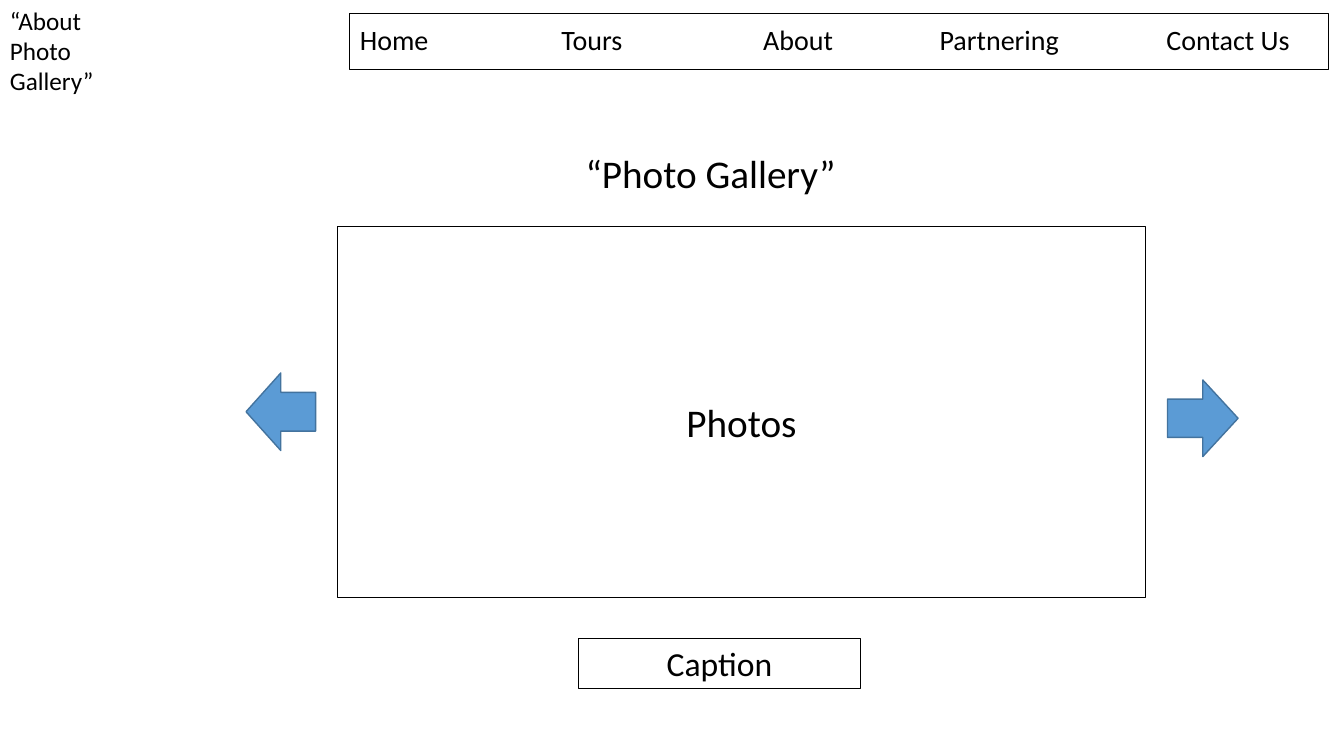
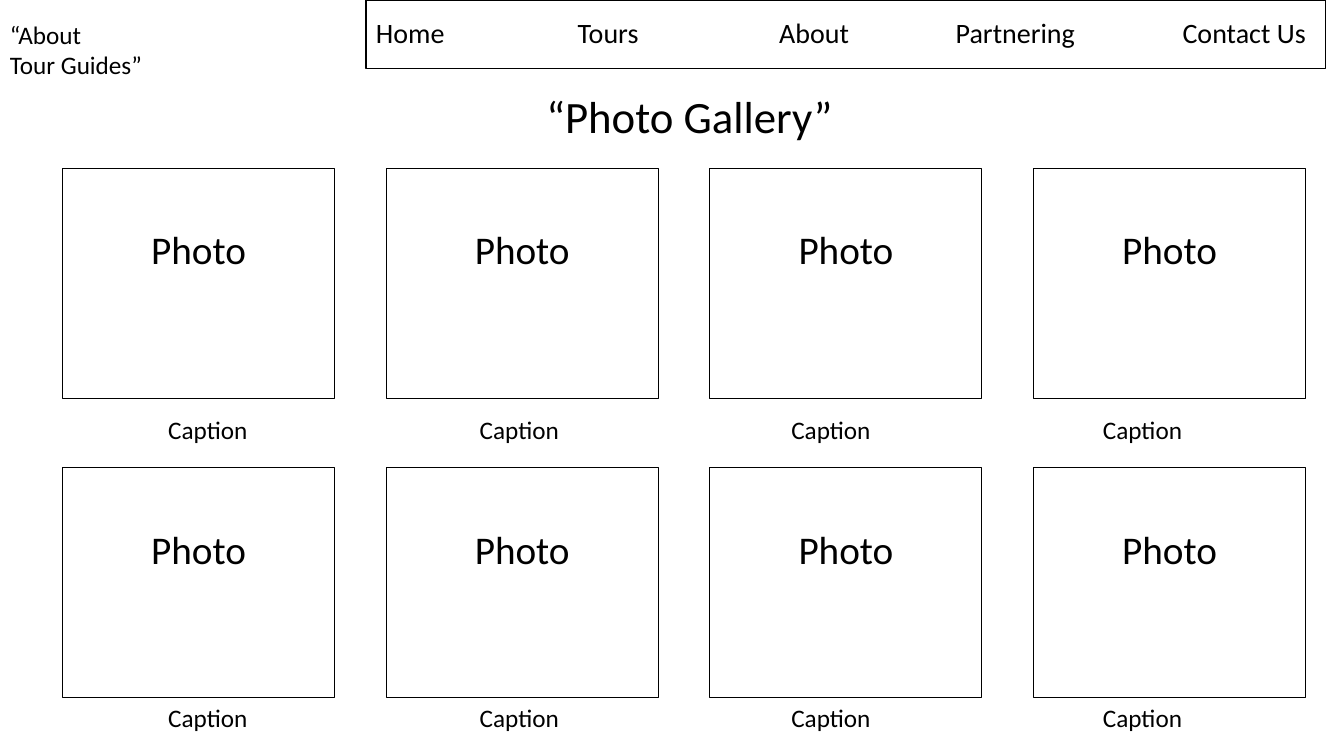
"""Build two wireframe slides of a photo gallery website."""
from lxml import etree
from pptx import Presentation
from pptx.dml.color import RGBColor
from pptx.enum.shapes import MSO_SHAPE
from pptx.enum.text import MSO_ANCHOR, PP_ALIGN
from pptx.oxml.ns import qn
from pptx.util import Pt

PX = 9144
BLACK = RGBColor(0x00, 0x00, 0x00)
BLUE = RGBColor(0x5B, 0x9B, 0xD5)
DARK_BLUE = RGBColor(0x43, 0x73, 0x9E)
RECTANGLE = MSO_SHAPE.RECTANGLE
LEFT_ARROW = MSO_SHAPE.LEFT_ARROW
RIGHT_ARROW = MSO_SHAPE.RIGHT_ARROW
LEFT, CENTER = PP_ALIGN.LEFT, PP_ALIGN.CENTER
TOP, MIDDLE = MSO_ANCHOR.TOP, MSO_ANCHOR.MIDDLE

MENU = ["Home", "Tours", "About", "Partnering", "Contact Us"]
MENU_STOPS = [200, 400, 575, 800]


def add_figure(page, preset, place, line_color=BLACK, line_width=0.75, fill=None):
    figure = page.shapes.add_shape(preset, *[length * PX for length in place])
    figure.shadow.inherit = False
    if fill is None:
        figure.fill.background()
    else:
        figure.fill.solid()
        figure.fill.fore_color.rgb = fill
    figure.line.color.rgb = line_color
    figure.line.width = Pt(line_width)
    return figure


def write(box, lines, size, align=LEFT, spacing=1.0, anchor=TOP, inset=5):
    frame = box.text_frame
    frame.word_wrap = True
    frame.vertical_anchor = anchor
    frame.margin_top = inset * PX
    frame.text = "\n".join(lines)
    font_format = {"name": "Calibri", "size": Pt(size)}
    for para in frame.paragraphs:
        para.alignment = align
        para.line_spacing = spacing
        for span in para.runs:
            span.font.color.rgb = BLACK
            for name, value in font_format.items():
                setattr(span.font, name, value)


deck = Presentation()
deck.slide_width, deck.slide_height = 1333 * PX, 750 * PX
blank = deck.slide_layouts[6]

headers = [
    {"menu": (347, 13, 971, 56), "note": (0, 0, 120, 131),
     "note_lines": ["“About", "Photo", "Gallery”"],
     "title": (571, 143, 284, 57), "title_size": 28},
    {"menu": (363, 0, 952, 68), "note": (0, 14, 157, 101),
     "note_lines": ["“About", "Tour Guides”"],
     "title": (532, 83, 320, 64), "title_size": 32},
]
pages = []
for header in headers:
    page = deck.slides.add_slide(blank)
    pages.append(page)

    menu = add_figure(page, RECTANGLE, header["menu"])
    write(menu, ["\t".join(MENU)], 20, spacing=0.9, anchor=MIDDLE)
    properties = menu.text_frame.paragraphs[0]._p.get_or_add_pPr()
    stops = etree.SubElement(properties, qn("a:tabLst"))
    for stop in MENU_STOPS:
        etree.SubElement(stops, qn("a:tab"), pos=str(stop * PX), algn="l")

    note = page.shapes.add_textbox(*[length * PX for length in header["note"]])
    write(note, header["note_lines"], 18)
    title = page.shapes.add_textbox(*[length * PX for length in header["title"]])
    write(title, ["“Photo Gallery”"], header["title_size"])

slideshow, gallery = pages

photos = add_figure(slideshow, RECTANGLE, (335, 225, 801, 368))
write(photos, ["Photos"], 28, CENTER, spacing=0.9, inset=175)
caption = add_figure(slideshow, RECTANGLE, (574, 633, 279, 50))
write(caption, ["Caption"], 24, CENTER)
for preset, place in [(LEFT_ARROW, (244, 370, 69, 77)),
                      (RIGHT_ARROW, (1158, 377, 70, 76))]:
    add_figure(slideshow, preset, place, DARK_BLUE, 1, BLUE)

for photo_top, caption_top in [(167, 406), (464, 692)]:
    for column in range(4):
        photo = add_figure(gallery, RECTANGLE,
                           (62 + 321 * column, photo_top, 270, 228))
        write(photo, ["Photo"], 28, CENTER, spacing=0.9, inset=62)
        caption_place = (157 + 309 * column, caption_top, 104, 40)
        caption = gallery.shapes.add_textbox(*[length * PX for length in caption_place])
        write(caption, ["Caption"], 18)

deck.save("out.pptx")
